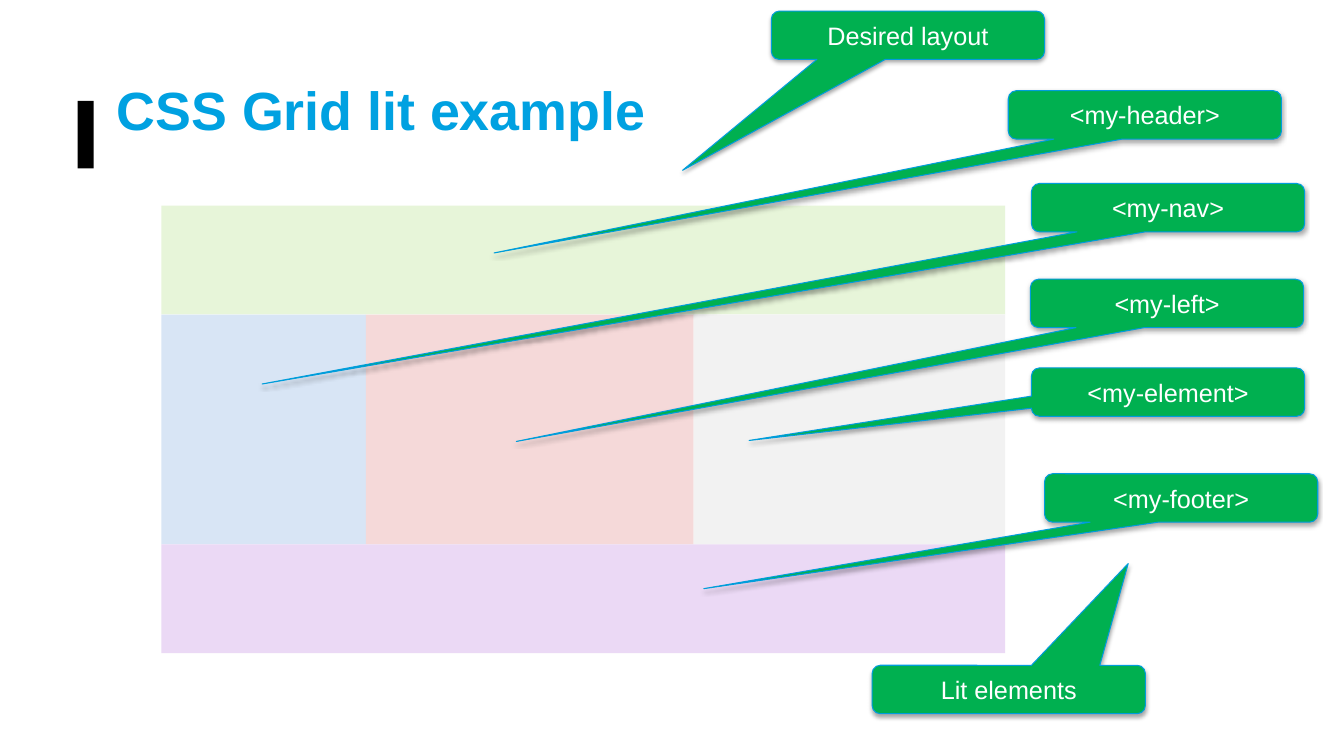
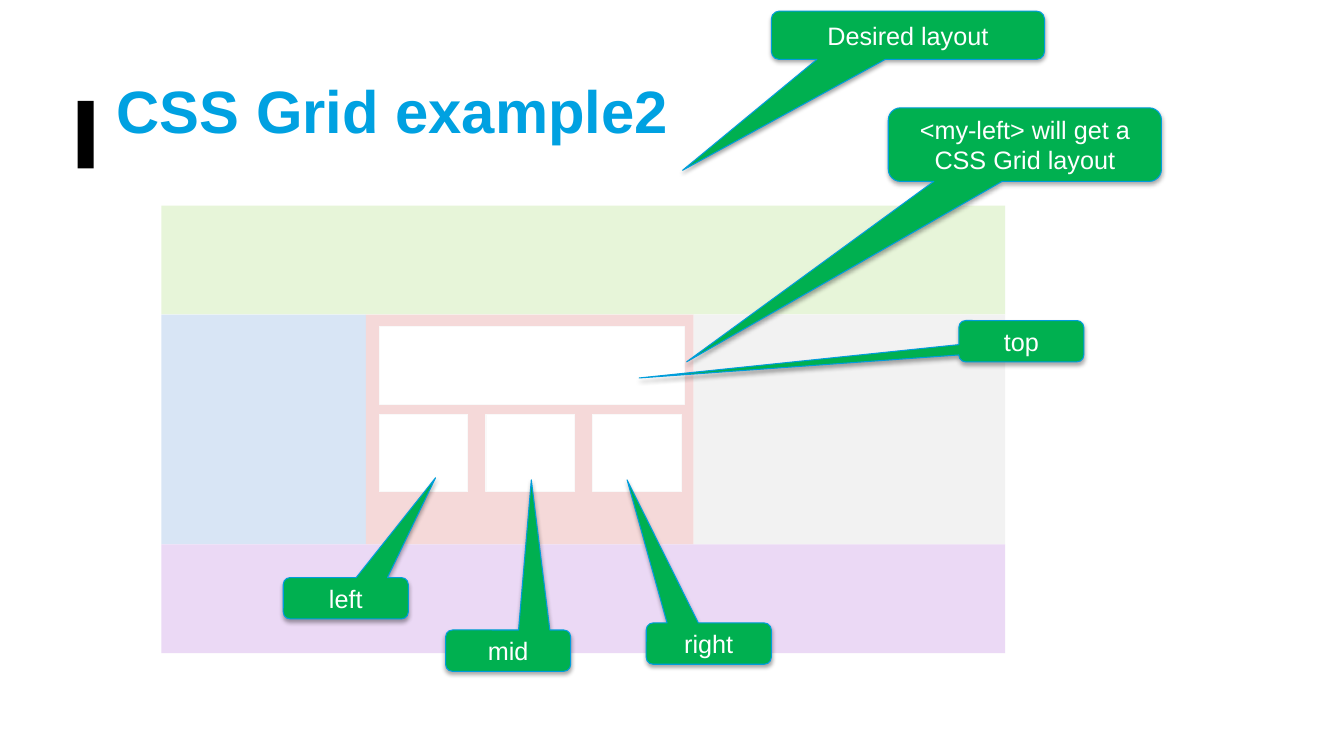
"""Build two slides on a CSS grid layout, each with callouts."""
from dataclasses import dataclass
from itertools import accumulate

from lxml import etree
from pptx import Presentation
from pptx.dml.color import RGBColor
from pptx.enum import shapes as kinds, text as txt
from pptx.oxml.ns import qn
from pptx.util import Inches, Pt

FONT = "Arial"
TITLE, BAR = "00A1E1", "000000"
GREEN, EDGE, WHITE = "00B050", "009DDC", "FFFFFF"
LEFT, TOP = 1.6, 2.04
COLS = (2.03, 3.25, 3.09)
ROWS = (1.08, 2.28, 1.08)
PANES = ("D8E5F5", "F5D9D9", "F2F2F2")
HEAD, FOOT = "E7F5D9", "EBD9F5"
WIDE, SMALL = (2.71, 0.48), (1.24, 0.41)


@dataclass(frozen=True)
class Box:
    left: float
    top: float
    width: float
    height: float


@dataclass(frozen=True)
class Note:
    label: str
    left: float
    top: float
    tip: tuple[float, float]
    size: tuple[float, float] = WIDE


DESIRED = Note("Desired layout", 7.65, 0.11, (6.77, 1.69))
TAGS = (
    Note("<my-header>", 10, 0.9, (4.9, 2.51)),
    Note("<my-nav>", 10.23, 1.82, (2.6, 3.81)),
    Note("<my-left>", 10.22, 2.77, (5.12, 4.38)),
    Note("<my-element>", 10.23, 3.65, (7.43, 4.37)),
    Note("<my-footer>", 10.36, 4.7, (6.98, 5.84)),
    DESIRED,
    Note("Lit elements", 8.65, 6.6, (11.19, 5.59)),
)
PARTS = (
    Note("<my-left> will get a CSS Grid layout", 8.81, 1.07, (6.81, 3.59), (2.71, 0.73)),
    Note("top", 9.51, 3.18, (6.34, 3.75), SMALL),
    Note("left", 2.81, 5.73, (4.32, 4.74), SMALL),
    Note("mid", 4.42, 6.25, (5.27, 4.76), SMALL),
    Note("right", 6.41, 6.18, (6.22, 4.76), SMALL),
)


def tint(code: str) -> RGBColor:
    return RGBColor.from_string(code)


def place(box: Box) -> tuple:
    return tuple(Inches(n) for n in (box.left, box.top, box.width, box.height))


def write(shape, words: str, *, size: float = 18, hue: str = WHITE, bold: bool = False,
          align=txt.PP_ALIGN.CENTER) -> None:
    frame = shape.text_frame
    frame.word_wrap = True
    frame.vertical_anchor = txt.MSO_ANCHOR.MIDDLE
    line = frame.paragraphs[0]
    line.alignment = align
    run = line.add_run()
    run.text = words
    run.font.name, run.font.size, run.font.bold = FONT, Pt(size), bold
    run.font.color.rgb = tint(hue)


def draw(home, box: Box, fill: str, *, edge: str | None = None,
         kind=kinds.MSO_SHAPE.RECTANGLE):
    shape = home.add_shape(kind, *place(box))
    shape.shadow.inherit = False
    shape.fill.solid()
    shape.fill.fore_color.rgb = tint(fill)
    if edge:
        shape.line.color.rgb = tint(edge)
        shape.line.width = Pt(0.75)
    else:
        shape.line.fill.background()
    return shape


def shade(shape) -> None:
    effects = shape.element.spPr.find(qn("a:effectLst"))
    cast = etree.SubElement(effects, qn("a:outerShdw"), blurRad="40000", dist="23000",
                            dir="5400000", rotWithShape="0")
    black = etree.SubElement(cast, qn("a:srgbClr"), val="000000")
    etree.SubElement(black, qn("a:alpha"), val="35000")


def call(home, note: Note) -> None:
    wide, high = note.size
    shape = draw(home, Box(note.left, note.top, wide, high), GREEN, edge=EDGE,
                 kind=kinds.MSO_SHAPE.ROUNDED_RECTANGULAR_CALLOUT)
    across, down = note.tip
    shape.adjustments[0] = (across - note.left) / wide - 0.5
    shape.adjustments[1] = (down - note.top) / high - 0.5
    shape.adjustments[2] = 0.167
    shade(shape)
    write(shape, note.label)


def grid(home) -> None:
    group = home.add_group_shape().shapes
    head, mid, foot = accumulate(ROWS[:-1], initial=TOP)
    draw(group, Box(LEFT, head, sum(COLS), ROWS[0]), HEAD)
    for left, width, fill in zip(accumulate(COLS, initial=LEFT), COLS, PANES):
        draw(group, Box(left, mid, width, ROWS[1]), fill)
    draw(group, Box(LEFT, foot, sum(COLS), ROWS[2]), FOOT)


def cells(home) -> None:
    boxes = [Box(3.76, 3.24, 3.03, 0.77)]
    boxes += [Box(3.76 + 1.06 * i, 4.11, 0.88, 0.77) for i in range(3)]
    for box in boxes:
        draw(home, box, WHITE, edge="F9F9F9")


def start(deck, title: str, size: float, width: float):
    home = deck.slides.add_slide(deck.slide_layouts[6]).shapes
    draw(home, Box(0.77, 1, 0.16, 0.67), BAR)
    write(home.add_textbox(*place(Box(1.06, 0.36, width, 1.45))), title,
          size=size, hue=TITLE, bold=True, align=txt.PP_ALIGN.LEFT)
    grid(home)
    return home


def main() -> None:
    deck = Presentation()
    deck.slide_width, deck.slide_height = Inches(13.33), Inches(7.5)

    home = start(deck, "CSS Grid lit example", 38.4, 5.6)
    for note in TAGS:
        call(home, note)

    home = start(deck, "CSS Grid example2", 42.7, 5.82)
    call(home, DESIRED)
    cells(home)
    for note in PARTS:
        call(home, note)

    deck.save("out.pptx")


if __name__ == "__main__":
    main()
